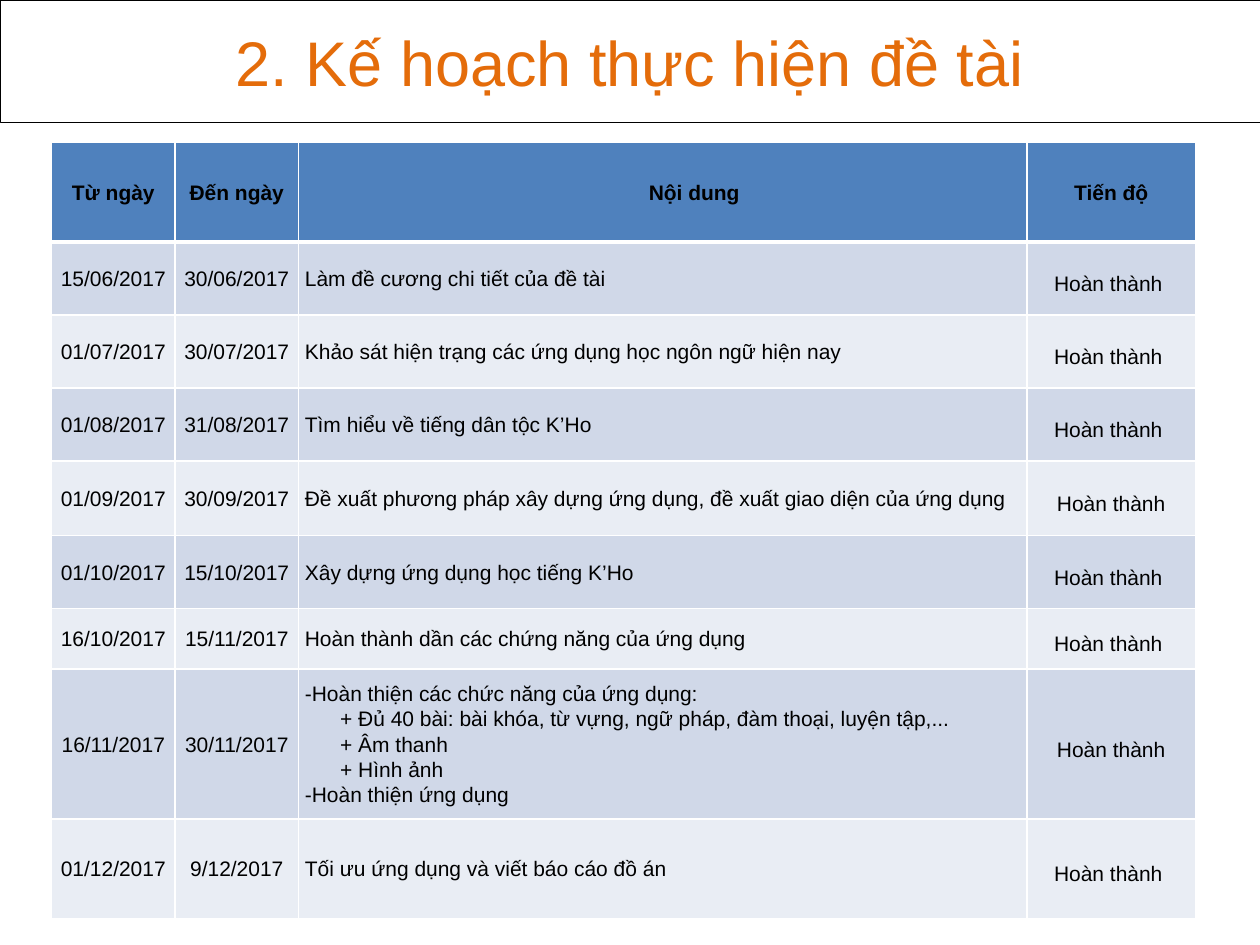
from dataclasses import dataclass

from lxml import etree
from pptx import Presentation
from pptx.dml.color import RGBColor
from pptx.enum.text import MSO_ANCHOR, MSO_AUTO_SIZE, PP_ALIGN
from pptx.oxml.ns import qn
from pptx.util import Inches, Pt

CENTER, LEFT = PP_ALIGN.CENTER, PP_ALIGN.LEFT
MIDDLE = MSO_ANCHOR.MIDDLE
NO_AUTOFIT = MSO_AUTO_SIZE.NONE
TITLE_ONLY = 5


@dataclass(frozen=True)
class Theme:
    font: str = "Arial"
    title_size: int = 36
    body_size: int = 12
    title: str = "E46C0A"
    text: str = "000000"
    header: str = "4F81BD"
    bands: tuple[str, str] = ("D0D8E8", "E9EDF4")
    border: str = "FFFFFF"
    thin: float = 1
    thick: float = 3


@dataclass(frozen=True)
class Line:
    text: str
    indent: float = 0


@dataclass(frozen=True)
class Task:
    start: str
    end: str
    content: tuple[Line, ...]
    height: float = 0.58
    status: str = "Hoàn thành "


THEME = Theme()
COLUMNS = (0.98, 0.98, 5.78, 1.34)
HEADER_HEIGHT = 0.79
HEADER = (Line("Từ ngày"), Line("Đến ngày"), Line("Nội dung", 0.5), Line("Tiến độ"))
SUB_INDENT = 0.28
TASKS = (
    Task("15/06/2017", "30/06/2017", (Line("Làm đề cương chi tiết của đề tài"),)),
    Task("01/07/2017", "30/07/2017",
         (Line("Khảo sát hiện trạng các ứng dụng học ngôn ngữ hiện nay"),)),
    Task("01/08/2017", "31/08/2017", (Line("Tìm hiểu về tiếng dân tộc K’Ho"),)),
    Task("01/09/2017", "30/09/2017",
         (Line("Đề xuất phương pháp xây dựng ứng dụng, đề xuất giao diện của ứng dụng"),),
         0.59, "Hoàn thành"),
    Task("01/10/2017", "15/10/2017", (Line("Xây dựng ứng dụng học tiếng K’Ho"),)),
    Task("16/10/2017", "15/11/2017",
         (Line("Hoàn thành dần các chứng năng của ứng dụng"),), 0.48),
    Task("16/11/2017", "30/11/2017", (
        Line("-Hoàn thiện các chức năng của ứng dụng:"),
        Line("+ Đủ 40 bài: bài khóa, từ vựng, ngữ pháp, đàm thoại, luyện tập,...", SUB_INDENT),
        Line("+ Âm thanh", SUB_INDENT),
        Line("+ Hình ảnh", SUB_INDENT),
        Line("-Hoàn thiện ứng dụng"),
    ), 1.19, "Hoàn thành"),
    Task("01/12/2017", "9/12/2017", (Line("Tối ưu ứng dụng và viết báo cáo đồ án"),), 0.79),
)


def add_run(p, text: str, size: int, color: str, bold: bool = False) -> None:
    r = p.add_run()
    r.text = text
    r.font.name = THEME.font
    r.font.size = Pt(size)
    r.font.bold = bold
    r.font.color.rgb = RGBColor.from_string(color)


def set_borders(cell, top: float, bottom: float) -> None:
    tc_pr = cell._tc.get_or_add_tcPr()
    sides = {"lnL": THEME.thin, "lnR": THEME.thin, "lnT": top, "lnB": bottom}
    for side, width in sides.items():
        ln = etree.SubElement(tc_pr, qn(f"a:{side}"), w=str(Pt(width)))
        fill = etree.SubElement(ln, qn("a:solidFill"))
        etree.SubElement(fill, qn("a:srgbClr"), val=THEME.border)


def fill_cell(cell, lines: tuple[Line, ...], fill: str, align: PP_ALIGN = CENTER,
              spacing: float = 1.07, bold: bool = False,
              top: float = THEME.thin, bottom: float = THEME.thin) -> None:
    set_borders(cell, top, bottom)
    cell.fill.solid()
    cell.fill.fore_color.rgb = RGBColor.from_string(fill)
    cell.vertical_anchor = MIDDLE
    cell.margin_left = cell.margin_right = Inches(0.05)
    cell.margin_top = cell.margin_bottom = 0
    tf = cell.text_frame
    for i, line in enumerate(lines):
        p = tf.add_paragraph() if i else tf.paragraphs[0]
        p.alignment = align
        p.line_spacing = spacing
        if line.indent:
            p._p.get_or_add_pPr().set("marL", str(Inches(line.indent)))
        add_run(p, line.text, THEME.body_size, THEME.text, bold)


def add_title(s, text: str) -> None:
    sp = s.shapes.title
    sp.left, sp.top, sp.width, sp.height = 0, 0, Inches(10), Inches(0.97)
    sp.line.color.rgb = RGBColor.from_string(THEME.text)
    sp.line.width = Pt(0.25)
    tf = sp.text_frame
    tf.auto_size = NO_AUTOFIT
    tf.word_wrap = True
    tf.vertical_anchor = MIDDLE
    p = tf.paragraphs[0]
    p.alignment = CENTER
    add_run(p, text, THEME.title_size, THEME.title)


def add_schedule(s) -> None:
    heights = (HEADER_HEIGHT, *(task.height for task in TASKS))
    table = s.shapes.add_table(
        len(heights), len(COLUMNS), Inches(0.41), Inches(1.13),
        Inches(sum(COLUMNS)), Inches(sum(heights))).table
    for column, width in zip(table.columns, COLUMNS):
        column.width = Inches(width)
    for row, height in zip(table.rows, heights):
        row.height = Inches(height)
    for col, line in enumerate(HEADER):
        fill_cell(table.cell(0, col), (line,), THEME.header, bold=True, bottom=THEME.thick)
    for i, task in enumerate(TASKS):
        fill = THEME.bands[i % 2]
        top = THEME.thin if i else THEME.thick
        start, end, content, status = (table.cell(i + 1, col) for col in range(4))
        fill_cell(start, (Line(task.start),), fill, top=top)
        fill_cell(end, (Line(task.end),), fill, top=top)
        fill_cell(content, task.content, fill, LEFT, top=top)
        fill_cell(status, (Line(task.status),), fill, spacing=1.5, top=top)


def main() -> None:
    prs = Presentation()
    prs.slide_width, prs.slide_height = Inches(10), Inches(7.5)
    s = prs.slides.add_slide(prs.slide_layouts[TITLE_ONLY])
    add_title(s, "2. Kế hoạch thực hiện đề tài")
    add_schedule(s)
    prs.save("out.pptx")


if __name__ == "__main__":
    main()
